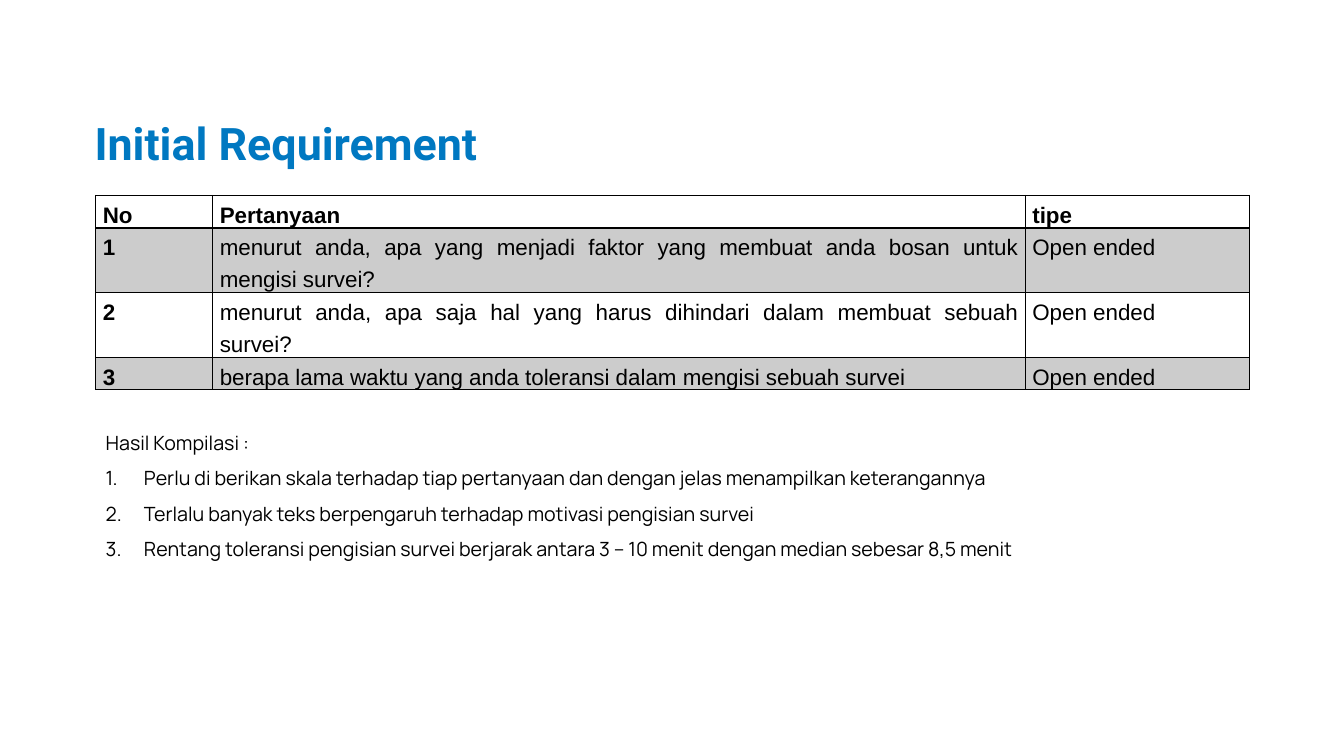
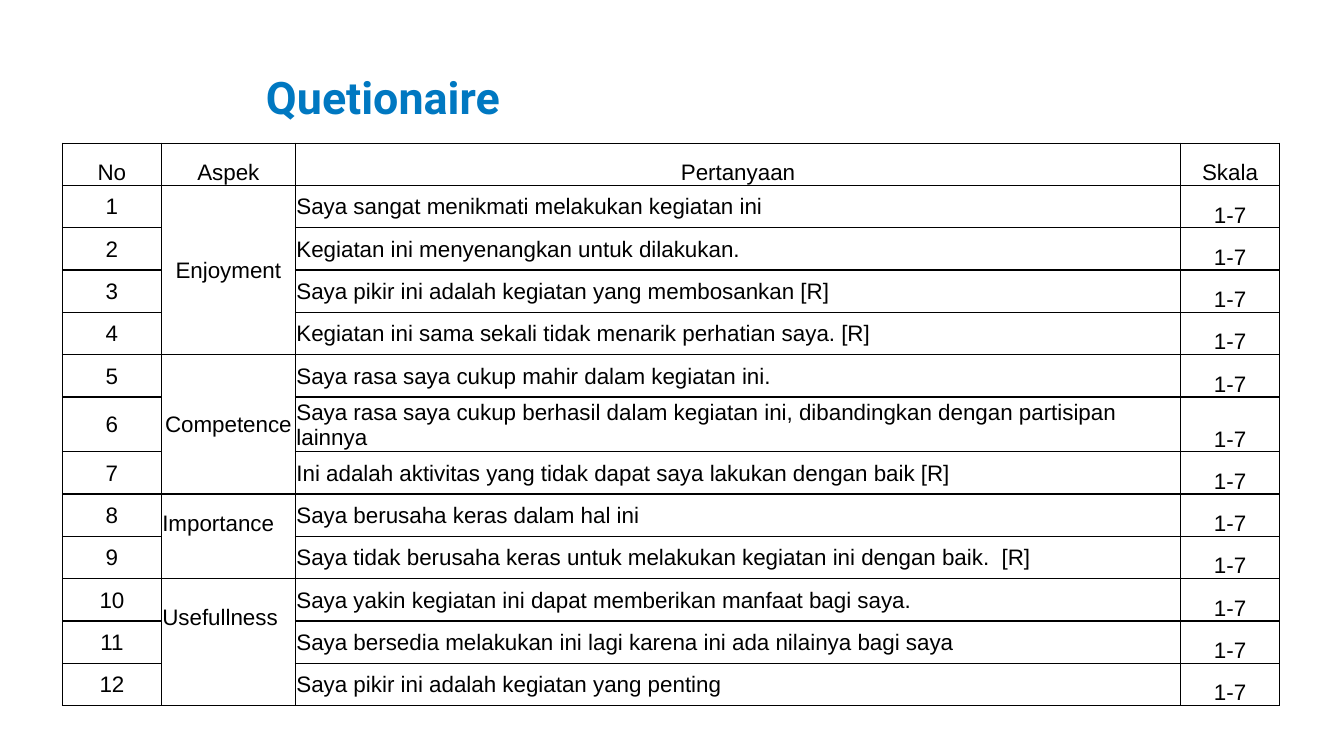
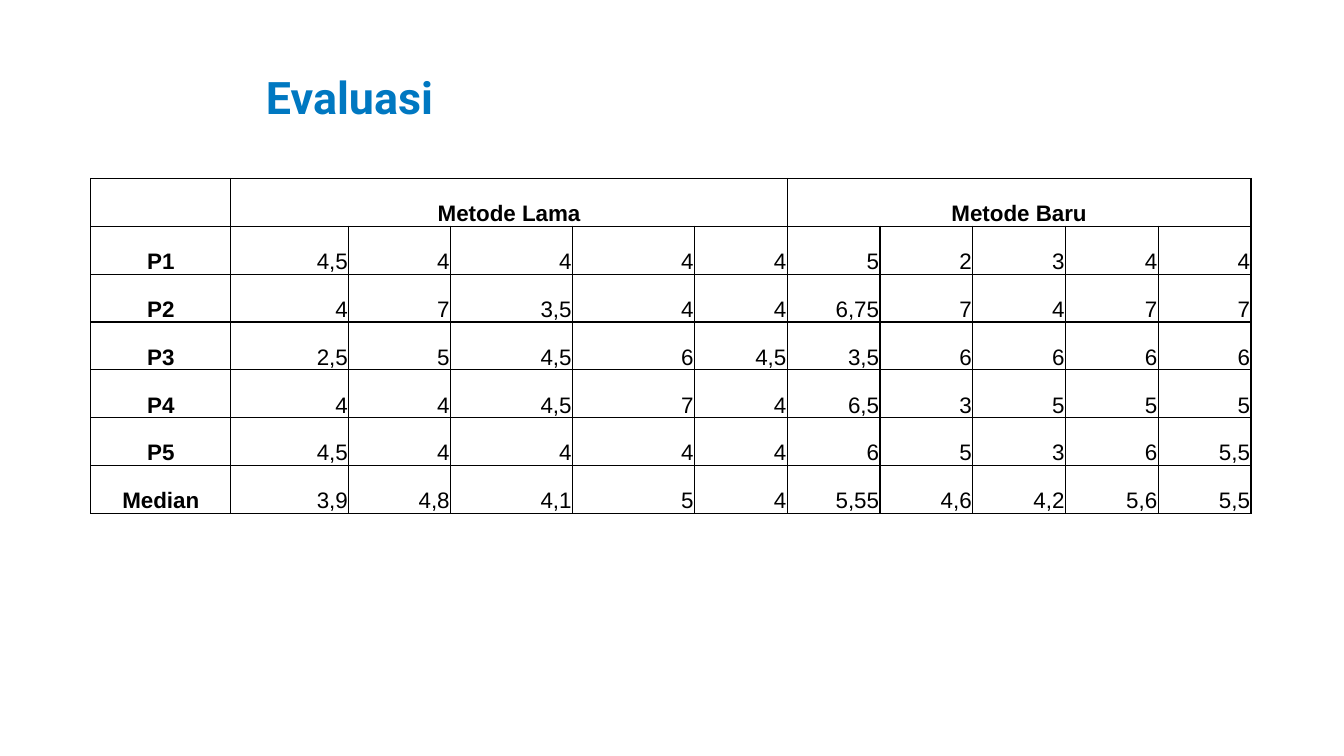
from dataclasses import dataclass

from lxml import etree
from pptx import Presentation
from pptx.dml.color import RGBColor as RGB
from pptx.enum.text import MSO_ANCHOR as ANCHOR, MSO_AUTO_SIZE as AUTO, PP_ALIGN as ALIGN
from pptx.oxml.ns import qn
from pptx.util import Inches, Pt


@dataclass(frozen=True)
class Theme:
    blue: RGB = RGB(0x00, 0x78, 0xC1)
    black: RGB = RGB(0, 0, 0)
    title_font: str = "Roboto"
    body_font: str = "Manrope"
    table_font: str = "Arial"
    title_size: int = 32
    body_size: int = 14
    table_size: int = 16
    border: int = 1
    header_border: int = 2


T = Theme()
TIGHT = (0.01, 0.01, 0.01, 0)


def add_title(s, text, left, top):
    tf = s.shapes.add_textbox(Inches(left), Inches(top), Inches(10), Inches(0.63)).text_frame
    tf.word_wrap = True
    tf.vertical_anchor = ANCHOR.BOTTOM
    p = tf.paragraphs[0]
    p.text = text
    p.line_spacing = 0.9
    p.font.name, p.font.size, p.font.bold = T.title_font, Pt(T.title_size), True
    p.font.color.rgb = T.blue


def add_grid(s, left, top, cols, rows, data, margins, header_border=T.border):
    """Add a plain table with black borders; margins are left, top, right, bottom."""
    table = s.shapes.add_table(len(rows), len(cols), Inches(left), Inches(top),
                               Inches(sum(cols)), Inches(sum(rows))).table
    table.first_row = table.horz_banding = False
    for column, width in zip(table.columns, cols):
        column.width = Inches(width)
    for i, height in enumerate(rows):
        table.rows[i].height = Inches(height)
        for j, text in enumerate(data[i]):
            cell = table.cell(i, j)
            (cell.margin_left, cell.margin_top,
             cell.margin_right, cell.margin_bottom) = map(Inches, margins)
            cell.vertical_anchor = ANCHOR.BOTTOM
            p = cell.text_frame.paragraphs[0]
            p.text = text
            p.font.name, p.font.size = T.table_font, Pt(T.table_size)
            p.font.color.rgb = T.black
            tc_pr = cell._tc.get_or_add_tcPr()
            for side in "LRTB":
                width = header_border if (i, side) == (0, "B") else T.border
                ln = etree.SubElement(tc_pr, qn(f"a:ln{side}"), w=str(Pt(width)))
                fill = etree.SubElement(ln, qn("a:solidFill"))
                etree.SubElement(fill, qn("a:srgbClr"), val=str(T.black))
            cell.fill.background()
    return table


prs = Presentation()
prs.slide_width, prs.slide_height = Inches(13.33), Inches(7.5)
blank = prs.slide_layouts[6]

# Slide 1: initial requirement
s = prs.slides.add_slide(blank)
questions = [
    ("No", "Pertanyaan", "tipe"),
    ("1", "menurut anda, apa yang menjadi faktor yang membuat anda bosan untuk mengisi survei?",
     "Open ended"),
    ("2", "menurut anda, apa saja hal yang harus dihindari dalam membuat sebuah survei?",
     "Open ended"),
    ("3", "berapa lama waktu yang anda toleransi dalam mengisi sebuah survei", "Open ended"),
]
table = add_grid(s, 0.95, 1.94, [1.16, 8.06, 2.22], [0.26, 0.47, 0.42, 0.22], questions,
                 (0.07, 0, 0.07, 0), T.header_border)
for i in range(len(questions)):
    for j in range(3):
        cell = table.cell(i, j)
        cell.vertical_anchor = ANCHOR.TOP
        p = cell.text_frame.paragraphs[0]
        p.alignment, p.line_spacing, p.space_after = ALIGN.JUSTIFY, 1.3, Pt(12)
        p.font.bold = i == 0 or j == 0
        if i % 2:
            cell.fill.solid()
            cell.fill.fore_color.rgb = T.black
            color = cell._tc.tcPr.find(qn("a:solidFill")).find(qn("a:srgbClr"))
            etree.SubElement(color, qn("a:alpha"), val="20000")

findings = [
    "Hasil Kompilasi :",
    "Perlu di berikan skala terhadap tiap pertanyaan dan dengan jelas menampilkan keterangannya",
    "Terlalu banyak teks berpengaruh terhadap motivasi pengisian survei",
    "Rentang toleransi pengisian survei berjarak antara 3 – 10 menit dengan median sebesar 8,5 menit",
]
tf = s.shapes.add_textbox(Inches(0.95), Inches(4.11), Inches(11.43), Inches(1.47)).text_frame
tf.word_wrap = True
tf.auto_size = AUTO.SHAPE_TO_FIT_TEXT
for i, text in enumerate(findings):
    p = tf.add_paragraph() if i else tf.paragraphs[0]
    p.text = text
    p.alignment, p.line_spacing = ALIGN.JUSTIFY, 1.5
    if i:
        p_pr = p._p.get_or_add_pPr()
        p_pr.set("marL", str(Inches(0.38)))
        p_pr.set("indent", str(-Inches(0.38)))
        etree.SubElement(p_pr, qn("a:buAutoNum"), type="arabicPeriod")
    p.font.name, p.font.size = T.body_font, Pt(T.body_size)
    p.font.color.rgb = T.black
p.space_after = Pt(12)
add_title(s, "Initial Requirement", 0.84, 1.11)

# Slide 2: questionnaire
s = prs.slides.add_slide(blank)
aspects = [
    ("Enjoyment", [
        "Saya sangat menikmati melakukan kegiatan ini",
        "Kegiatan ini menyenangkan untuk dilakukan.",
        "Saya pikir ini adalah kegiatan yang membosankan [R]",
        "Kegiatan ini sama sekali tidak menarik perhatian saya. [R]",
    ]),
    ("Competence", [
        "Saya rasa saya cukup mahir dalam kegiatan ini.",
        "Saya rasa saya cukup berhasil dalam kegiatan ini, dibandingkan dengan partisipan lainnya",
        "Ini adalah aktivitas yang tidak dapat saya lakukan dengan baik [R]",
    ]),
    ("Importance", [
        "Saya berusaha keras dalam hal ini",
        "Saya tidak berusaha keras untuk melakukan kegiatan ini dengan baik.  [R]",
    ]),
    ("Usefullness", [
        "Saya yakin kegiatan ini dapat memberikan manfaat bagi saya.",
        "Saya bersedia melakukan ini lagi karena ini ada nilainya bagi saya",
        "Saya pikir ini adalah kegiatan yang penting",
    ]),
]
raised = {"Importance": 0.25, "Usefullness": 0.5}  # bottom margins of left-aligned aspects
data = [("No", "Aspek", "Pertanyaan", "Skala")]
for aspect, items in aspects:
    for k, item in enumerate(items):
        data.append((str(len(data)), "" if k else aspect, item, "1-7"))
table = add_grid(s, 0.62, 1.42, [0.98, 1.33, 8.78, 0.98], [0.42] * len(data), data, TIGHT)
for i in range(len(data)):
    for j in range(4):
        cell = table.cell(i, j)
        if i and j < 3:
            cell.vertical_anchor = ANCHOR.MIDDLE
        left = (i and j == 2) or cell.text in raised
        cell.text_frame.paragraphs[0].alignment = ALIGN.LEFT if left else ALIGN.CENTER
first = 1
for aspect, items in aspects:
    cell = table.cell(first, 1)
    cell.merge(table.cell(first + len(items) - 1, 1))
    cell.margin_bottom = Inches(raised.get(aspect, 0))
    first += len(items)
add_title(s, "Quetionaire", 2.54, 0.65)

# Slide 3: evaluation
s = prs.slides.add_slide(blank)
add_title(s, "Evaluasi", 2.54, 0.65)
scores = [
    ("", "Metode Lama", "", "", "", "", "Metode Baru", "", "", "", ""),
    ("P1", "4,5", "4", "4", "4", "4", "5", "2", "3", "4", "4"),
    ("P2", "4", "7", "3,5", "4", "4", "6,75", "7", "4", "7", "7"),
    ("P3", "2,5", "5", "4,5", "6", "4,5", "3,5", "6", "6", "6", "6"),
    ("P4", "4", "4", "4,5", "7", "4", "6,5", "3", "5", "5", "5"),
    ("P5", "4,5", "4", "4", "4", "4", "6", "5", "3", "6", "5,5"),
    ("Median", "3,9", "4,8", "4,1", "5", "4", "5,55", "4,6", "4,2", "5,6", "5,5"),
]
table = add_grid(s, 0.9, 1.77, [1.39, 1.17, 1.01, 1.21, 1.21] + [0.92] * 6,
                 [0.475] * len(scores), scores, TIGHT)
for i, row in enumerate(scores):
    for j in range(len(row)):
        p = table.cell(i, j).text_frame.paragraphs[0]
        heading = i == 0 or j == 0
        p.alignment = ALIGN.CENTER if heading else ALIGN.RIGHT
        p.font.bold = heading
for first in (1, 6):
    table.cell(0, first).merge(table.cell(0, first + 4))

prs.save("out.pptx")
